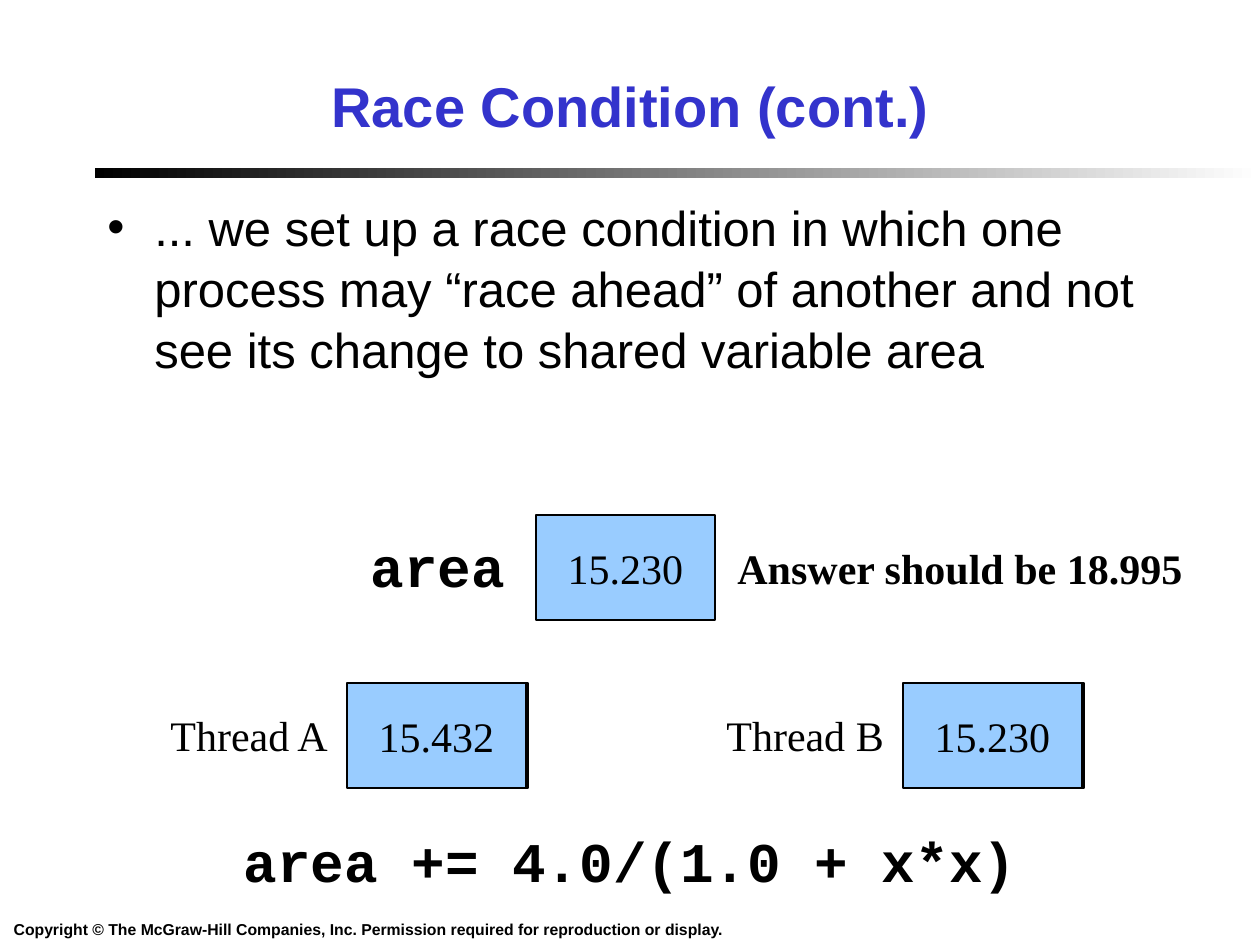
from lxml import etree
from pptx import Presentation
from pptx import util as u
from pptx.dml.color import RGBColor
from pptx.enum import shapes, text
from pptx.oxml.ns import qn

SCALE = 914400 / 126  # EMU per px
BLACK = RGBColor(0x00, 0x00, 0x00)
WHITE = RGBColor(0xFF, 0xFF, 0xFF)
TITLE = RGBColor(0x33, 0x33, 0xCC)
CELL = RGBColor(0x99, 0xCC, 0xFF)
SANS, MONO, SERIF = "Arial", "Courier New", "Times New Roman"
LEFT, MID = text.PP_ALIGN.LEFT, text.PP_ALIGN.CENTER
CELL_W, CELL_H = 179, 105


def px(n):
    return u.Emu(round(n * SCALE))


def write(shape, words, size, font, color=BLACK, bold=False, align=LEFT,
          wrap=False, anchor=text.MSO_ANCHOR.TOP):
    frame = shape.text_frame
    frame.word_wrap = wrap
    frame.vertical_anchor = anchor
    para = frame.paragraphs[0]
    para.alignment = align
    run = para.add_run()
    run.text = words
    run.font.size = u.Pt(size)
    run.font.name = font
    run.font.bold = bold
    run.font.color.rgb = color
    return para


def label(home, box, words, size, font, **style):
    shape = home.add_textbox(*map(px, box))
    return write(shape, words, size, font, **style)


def bullet(para, indent):
    props = para._p.get_or_add_pPr()
    props.set("marL", str(px(indent)))
    props.set("indent", str(-px(indent)))
    etree.SubElement(props, qn("a:buFont")).set("typeface", SANS)
    etree.SubElement(props, qn("a:buChar")).set("char", "•")


def block(home, box):
    shape = home.add_shape(shapes.MSO_SHAPE.RECTANGLE, *map(px, box))
    shape.shadow.inherit = False
    return shape


def cell(home, left, top, words=None):
    shape = block(home, (left, top, CELL_W, CELL_H))
    shape.fill.solid()
    shape.fill.fore_color.rgb = CELL
    shape.line.color.rgb = BLACK
    shape.line.width = u.Pt(0.75)
    if words:
        write(shape, words, 24, SERIF, align=MID,
              anchor=text.MSO_ANCHOR.MIDDLE)


def rule(home, box):
    bar = block(home, box)
    bar.line.fill.background()
    bar.fill.gradient()
    bar.fill.gradient_angle = 0
    for stop, color, spot in zip(bar.fill.gradient_stops, (BLACK, WHITE), (0, 1)):
        stop.color.rgb = color
        stop.position = spot


def thread(home, name, left, back, front, value):
    """A named thread with its own cell, and the current value on top."""
    group = home.add_group_shape().shapes
    label(group, (left, 703, 185, 63), name, 24, SERIF)
    cell(group, back, 683)
    cell(home, front, 683, value)


def main():
    deck = Presentation()
    deck.slide_width, deck.slide_height = px(1260), px(945)
    home = deck.slides.add_slide(deck.slide_layouts[6]).shapes

    # Rule and footer
    rule(home, (95, 168, 1165, 10))
    label(home, (0, 914, 736, 31),
          "Copyright © The McGraw-Hill Companies, Inc. "
          "Permission required for reproduction or display.",
          9, SANS, bold=True, align=MID)

    # Title and body
    label(home, (32, 42, 1197, 126), "Race Condition (cont.)", 32, SANS,
          color=TITLE, bold=True, align=MID, wrap=True,
          anchor=text.MSO_ANCHOR.MIDDLE)
    body = label(home, (95, 189, 1071, 651),
                 "... we set up a race condition in which one process may "
                 "“race ahead” of another and not see its change to shared "
                 "variable area", 28, SANS, wrap=True)
    body.line_spacing = 1.04
    bullet(body, 47)

    # Threads
    thread(home, "Thread A", 158, 349, 347, "15.432")
    thread(home, "Thread B", 714, 905, 903, "15.230")

    # Shared variable
    label(home, (358, 525, 160, 81), "area", 32, MONO, bold=True)
    cell(home, 536, 515, "15.230")
    label(home, (725, 536, 471, 63), "Answer should be 18.995", 24, SERIF,
          bold=True)

    # Statement
    label(home, (231, 820, 799, 81), "area += 4.0/(1.0 + x*x)", 32, MONO,
          bold=True)

    deck.save("out.pptx")


if __name__ == "__main__":
    main()
